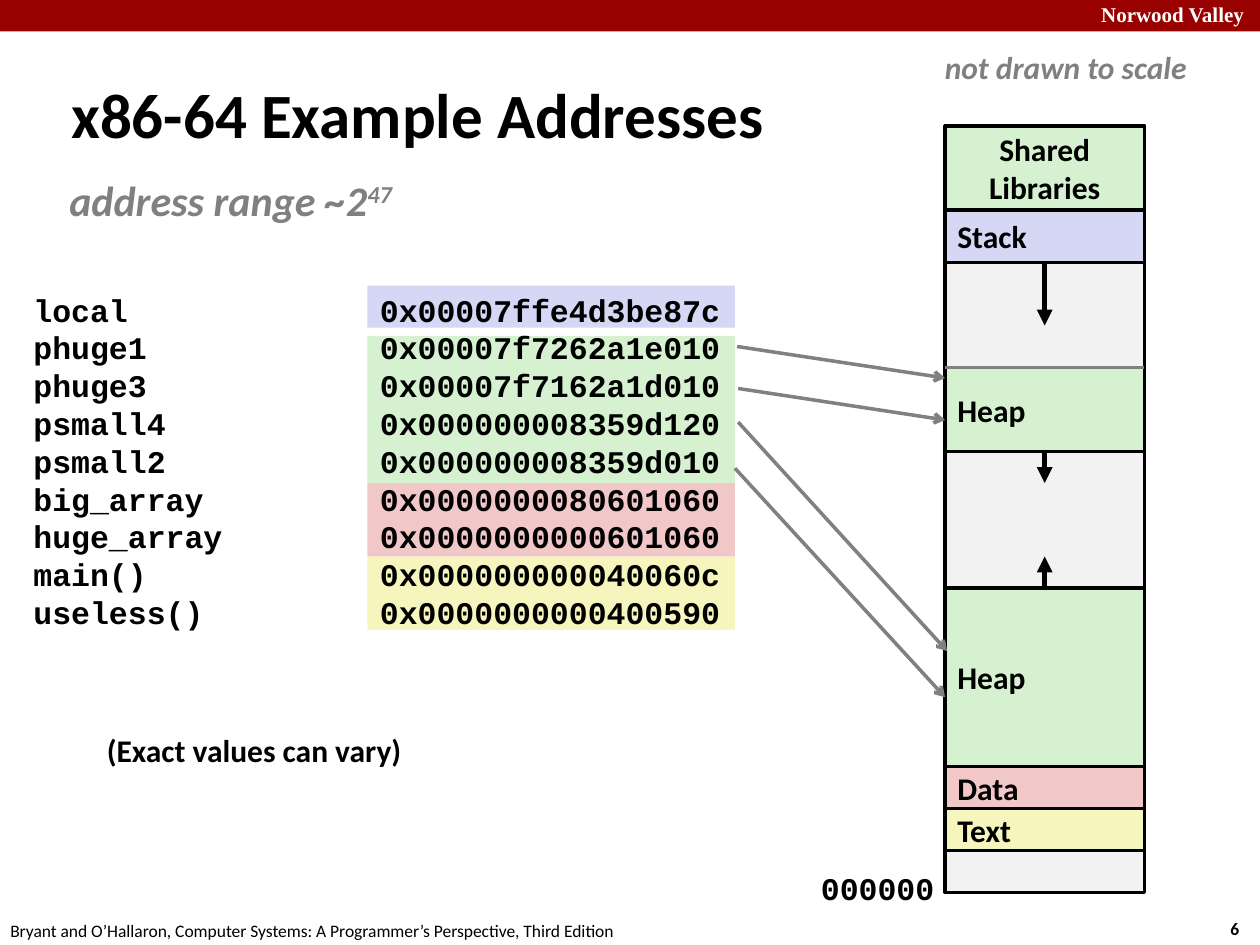
from dataclasses import dataclass

from lxml import etree
from pptx import Presentation
from pptx.dml.color import RGBColor
from pptx.enum.shapes import MSO_CONNECTOR, MSO_SHAPE
from pptx.enum.text import MSO_ANCHOR, PP_ALIGN
from pptx.oxml.ns import qn
from pptx.slide import Slide
from pptx.util import Inches, Pt

STRAIGHT = MSO_CONNECTOR.STRAIGHT
RECTANGLE = MSO_SHAPE.RECTANGLE
MIDDLE = MSO_ANCHOR.MIDDLE
LEFT, CENTER = PP_ALIGN.LEFT, PP_ALIGN.CENTER

UNITS_PER_INCH = 12
BLACK, GRAY, WHITE = "000000", "808080", "FFFFFF"
MAROON, PALE_GRAY = "990000", "F2F2F2"
GREEN, BLUE, RED, YELLOW = "D5F1CF", "D6D6F5", "F1C7C7", "F6F5BD"

ADDRESSES = [
    ("local", "0x00007ffe4d3be87c"),
    ("phuge1", "0x00007f7262a1e010"),
    ("phuge3", "0x00007f7162a1d010"),
    ("psmall4", "0x000000008359d120"),
    ("psmall2", "0x000000008359d010"),
    ("big_array", "0x0000000080601060"),
    ("huge_array", "0x0000000000601060"),
    ("main()", "0x000000000040060c"),
    ("useless()", "0x0000000000400590"),
]
ADDRESS_BANDS = [(53, 7, YELLOW), (46, 7, RED), (27.2, 4, BLUE), (32, 14, GREEN)]
REGIONS = [
    (12, 73, PALE_GRAY, "", LEFT),
    (77, 4, YELLOW, "Text", LEFT),
    (73, 4, RED, "Data", LEFT),
    (56, 17, GREEN, "Heap", LEFT),
    (35, 8, GREEN, "Heap", LEFT),
    (20, 5, BLUE, "Stack", LEFT),
    (12, 8, GREEN, "Shared\nLibraries", CENTER),
]
GROWTH = [(56, 53), (43, 46), (25, 31)]
POINTERS = [
    (70.2, 33, 90, 36),
    (70.3, 37, 90, 40),
    (70.3, 40.2, 90.2, 62),
    (70, 44.6, 90, 66.4),
]
MEMORY_LEFT, MEMORY_WIDTH = 90, 19
MEMORY_CENTER = MEMORY_LEFT + MEMORY_WIDTH / 2


def color(value):
    """Return the colour for a hex string."""
    return RGBColor.from_string(value)


def units(*lengths):
    """Convert grid units to slide lengths."""
    return [Inches(length / UNITS_PER_INCH) for length in lengths]


@dataclass
class SlideBuilder:
    """Draw styled elements on one slide by grid units."""

    slide: Slide
    font: str = "Calibri"
    code_font: str = "Courier New"
    size: float = 18
    line_width: float = 2

    def format_text(self, frame, font=None, size=None, ink=BLACK, bold=True,
                    italic=False, align=LEFT):
        """Apply one style to every run of a text frame."""
        for paragraph in frame.paragraphs:
            paragraph.alignment = align
            for run in paragraph.runs:
                run.font.name = font or self.font
                run.font.size = Pt(size or self.size)
                run.font.color.rgb = color(ink)
                run.font.bold = bold
                run.font.italic = italic

    def text(self, box, content, wrap=False, anchor=None, **style):
        """Add a text box and return its text frame."""
        frame = self.slide.shapes.add_textbox(*units(*box)).text_frame
        frame.text = content
        frame.word_wrap = wrap
        frame.vertical_anchor = anchor
        self.format_text(frame, **style)
        return frame

    def block(self, box, fill, outline=None, label="", align=LEFT):
        """Add a filled rectangle with an optional outline and label."""
        shape = self.slide.shapes.add_shape(RECTANGLE, *units(*box))
        shape.shadow.inherit = False
        shape.fill.solid()
        shape.fill.fore_color.rgb = color(fill)
        if outline:
            shape.line.color.rgb = color(outline)
            shape.line.width = Pt(self.line_width)
        else:
            shape.line.fill.background()
        if label:
            frame = shape.text_frame
            frame.text = label
            frame.word_wrap = False
            frame.vertical_anchor = MIDDLE
            self.format_text(frame, align=align)

    def line(self, ends, ink=GRAY, width=None, head=None):
        """Add a straight line with an optional arrowhead at its end."""
        connector = self.slide.shapes.add_connector(STRAIGHT, *units(*ends))
        connector.line.color.rgb = color(ink)
        connector.line.width = Pt(width or self.line_width)
        if head:
            outline = connector.line._get_or_add_ln()
            etree.SubElement(outline, qn("a:tailEnd"), type=head)
        properties = connector._element.spPr
        etree.SubElement(properties, qn("a:effectLst"))

    def address_list(self, box, entries, tab):
        """Add names and addresses in two tabbed columns."""
        content = "\n".join("\t".join(entry) for entry in entries)
        frame = self.text(box, content, wrap=True, font=self.code_font)
        for paragraph in frame.paragraphs:
            properties = paragraph._p.get_or_add_pPr()
            stops = etree.SubElement(properties, qn("a:tabLst"))
            position = str(units(tab)[0])
            etree.SubElement(stops, qn("a:tab"), pos=position, algn="l")

    def range_note(self, box, base, exponent):
        """Add the address range with a raised exponent."""
        frame = self.text(box, base)
        frame.margin_left = frame.margin_right = Inches(0.05)
        paragraph = frame.paragraphs[0]
        raised = paragraph.add_run()
        raised.text = exponent
        self.format_text(frame, size=24, ink=GRAY, italic=True)
        raised.font._element.set("baseline", "30000")


def main():
    """Build and save the slide."""
    presentation = Presentation()
    presentation.slide_width, presentation.slide_height = Inches(10), Inches(7.5)
    slide = presentation.slides.add_slide(presentation.slide_layouts[6])
    builder = SlideBuilder(slide)

    builder.block((0, 0, 120, 3), MAROON)
    builder.text((103.7, -0.4, 17.1, 3.6), "Norwood Valley",
                 font="Times New Roman", size=12, ink=WHITE)
    builder.text((116, 86.8, 4.4, 3.2), "6", size=10)
    builder.text((-0.2, 87, 61, 3.2),
                 "Bryant and O’Hallaron, Computer Systems: "
                 "A Programmer’s Perspective, Third Edition",
                 size=10, bold=False)

    for top, height, fill in ADDRESS_BANDS:
        builder.block((35, top, 35, height), fill)
    builder.text((5.6, 7, 86.3, 7.5), "x86-64 Example Addresses",
                 wrap=True, anchor=MIDDLE, size=36)
    builder.address_list((2, 27.1, 74, 33.8), ADDRESSES, tab=33)
    builder.range_note((6, 16, 32.5, 6.1), "address range ~2", "47")
    builder.text((77, 82.2, 13.3, 4.8), "000000", font=builder.code_font)
    builder.text((88.8, 4, 25.6, 4.8), "not drawn to scale", ink=GRAY, italic=True)
    builder.text((9, 69, 30.7, 4.8), "(Exact values can vary)")

    for top, height, fill, label, align in REGIONS:
        builder.block((MEMORY_LEFT, top, MEMORY_WIDTH, height), fill, BLACK, label, align)
    for start, end in GROWTH:
        builder.line((MEMORY_CENTER, start, MEMORY_CENTER, end), BLACK, 3, "triangle")
    builder.line((MEMORY_LEFT, 35, MEMORY_LEFT + MEMORY_WIDTH, 35))
    for ends in POINTERS:
        builder.line(ends, head="arrow")

    presentation.save("out.pptx")


if __name__ == "__main__":
    main()
